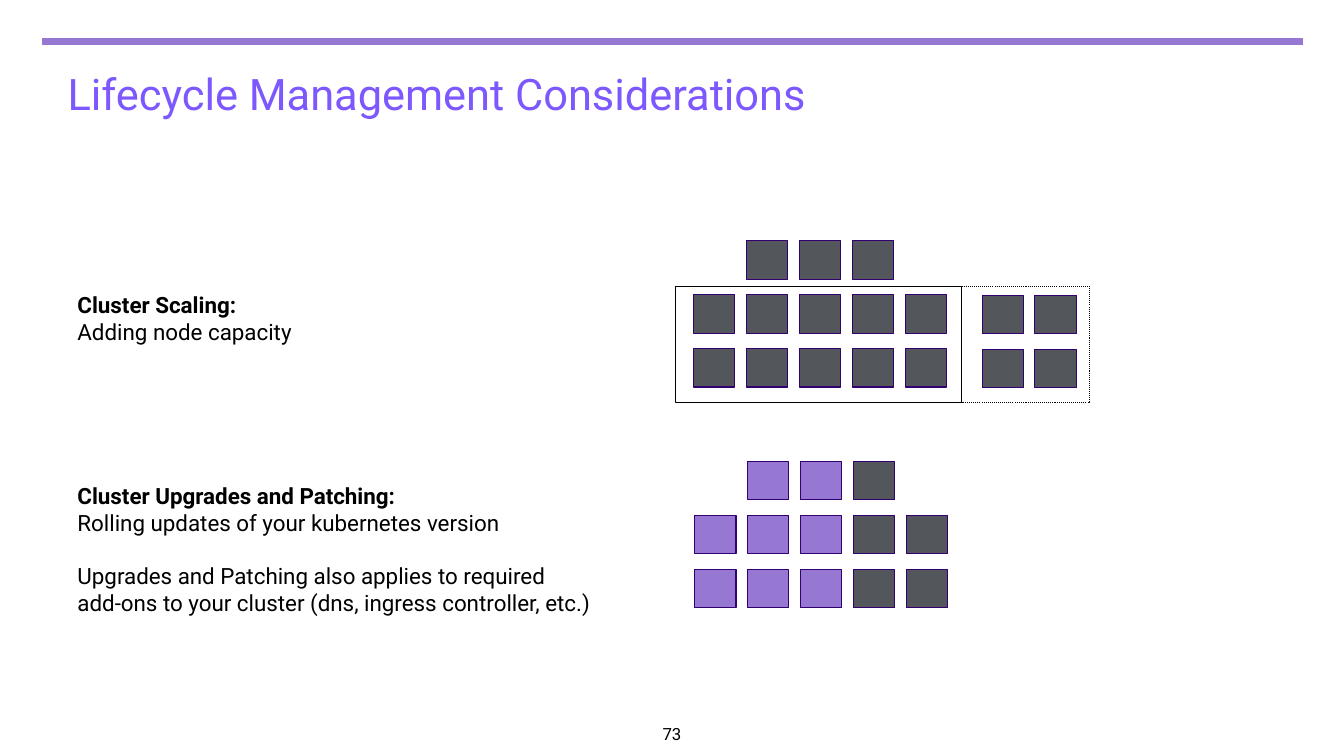
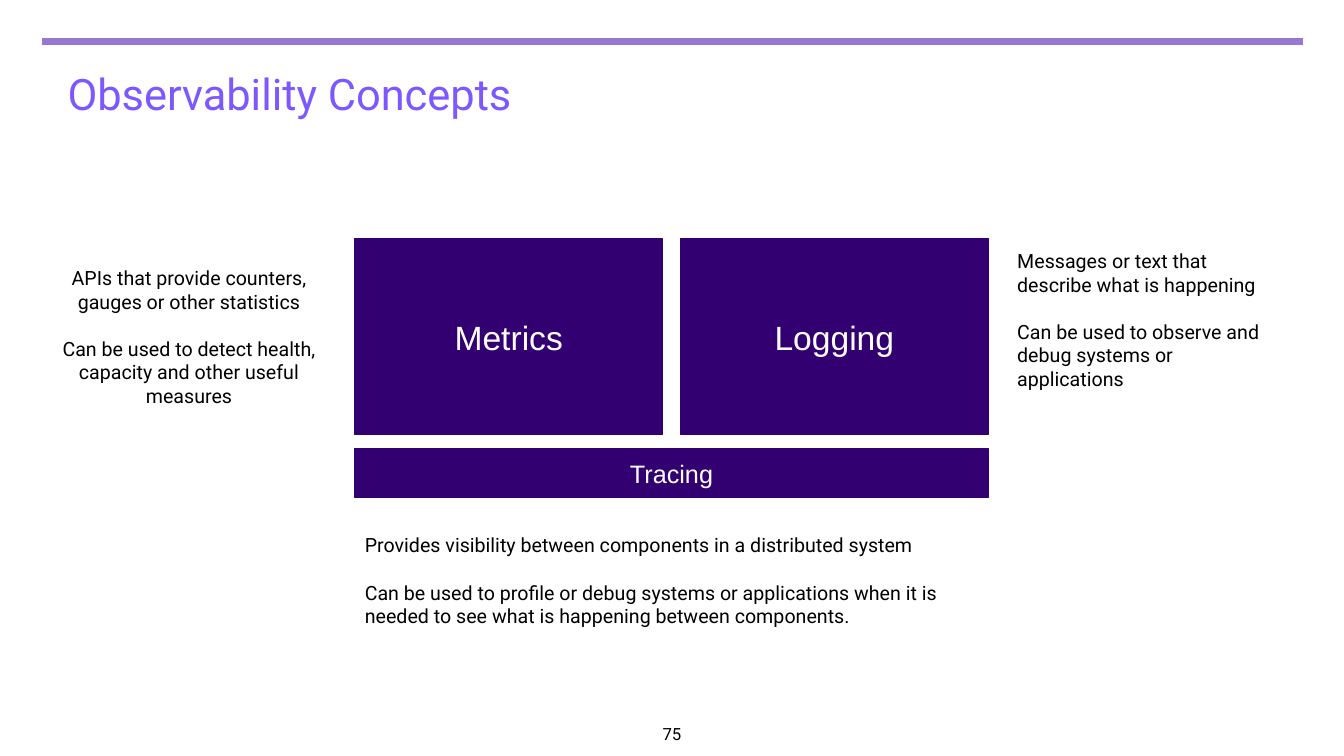
from lxml import etree
from pptx import Presentation
from pptx.dml.color import RGBColor
from pptx.enum.dml import MSO_LINE
from pptx.enum.shapes import MSO_CONNECTOR, MSO_SHAPE
from pptx.enum.text import MSO_ANCHOR, PP_ALIGN
from pptx.oxml.ns import qn
from pptx.util import Inches, Pt

RECTANGLE = MSO_SHAPE.RECTANGLE
STRAIGHT = MSO_CONNECTOR.STRAIGHT
DOTTED = MSO_LINE.ROUND_DOT
LEFT, CENTER = PP_ALIGN.LEFT, PP_ALIGN.CENTER
TOP, MIDDLE = MSO_ANCHOR.TOP, MSO_ANCHOR.MIDDLE

COLORS = {
    "title": "7D58FF",
    "accent": "9678D3",
    "deep": "330072",
    "node": "53565A",
    "text": "000000",
    "white": "FFFFFF",
}
BODY_FONT, BLOCK_FONT = "Roboto", "Arial"

# Node grids: G is a current node, P an upgraded one, a space an empty place.
NODE_WIDTH, NODE_HEIGHT = 0.41, 0.38
COLUMN_STEP, ROW_STEP = 2.1 / 4, 1.07 / 2
NODE_COLORS = {"G": "node", "P": "accent"}
NODE_GRIDS = [
    (6.88, 2.39, [" GGG ", "GGGGG", "GGGGG"]),
    (9.74, 2.93, ["GG", "GG"]),
    (6.89, 4.58, [" PPG ", "PPPGG", "PPPGG"]),
]
CAPACITY_FRAMES = [((6.7, 2.84, 2.84, 1.15), None), ((9.54, 2.84, 1.27, 1.15), DOTTED)]

# Topic: box, heading, then groups of lines set apart by a gap.
TOPICS = [
    ((0.67, 2.79, 5.76, 0.74), "Cluster Scaling:", [["Adding node capacity"]]),
    ((0.67, 4.68, 5.76, 1.52), "Cluster Upgrades and Patching:", [
        ["Rolling updates of your kubernetes version"],
        ["Upgrades and Patching also applies to required",
         "add-ons to your cluster (dns, ingress controller, etc.)"],
    ]),
]

PILLARS = [
    ("Metrics", (3.52, 2.37, 3.05, 1.94), 24),
    ("Logging", (6.75, 2.37, 3.05, 1.94), 24),
    ("Tracing", (3.52, 4.45, 6.28, 0.49), 18),
]
EXPLANATIONS = [
    ((0.47, 2.37, 2.81, 1.94), CENTER, MIDDLE, [
        "APIs that provide counters, gauges or other statistics",
        "Can be used to detect health, capacity and other useful measures"]),
    ((9.99, 2.37, 2.81, 1.94), LEFT, TOP, [
        "Messages or text that describe what is happening",
        "Can be used to observe and debug systems or applications"]),
    ((3.52, 5.19, 6.3, 0.79), LEFT, TOP, [
        "Provides visibility between components in a distributed system",
        "Can be used to profile or debug systems or applications when it is "
        "needed to see what is happening between components."]),
]


def rgb(name):
    return RGBColor.from_string(COLORS[name])


def write(shape, lines, size, color="text", font=BODY_FONT, align=LEFT,
          anchor=TOP, inset=0.1):
    """Fill a shape with lines, each a (text, bold, points before) tuple."""
    frame = shape.text_frame
    frame.word_wrap = True
    frame.vertical_anchor = anchor
    frame.margin_left = frame.margin_right = Inches(inset)
    frame.margin_top = frame.margin_bottom = Inches(inset)
    for index, (text, bold, before) in enumerate(lines):
        paragraph = frame.add_paragraph() if index else frame.paragraphs[0]
        paragraph.text = text
        paragraph.alignment = align
        if before:
            paragraph.space_before = Pt(before)
        paragraph.font.name = font
        paragraph.font.size = Pt(size)
        paragraph.font.bold = bold
        paragraph.font.color.rgb = rgb(color)


def add_text(slide, box, lines, size, **style):
    write(slide.shapes.add_textbox(*map(Inches, box)), lines, size, **style)


def add_rectangle(slide, box, fill=None, line="deep", dash=None):
    shape = slide.shapes.add_shape(RECTANGLE, *map(Inches, box))
    shape.shadow.inherit = False
    if fill:
        shape.fill.solid()
        shape.fill.fore_color.rgb = rgb(fill)
    else:
        shape.fill.background()
    shape.line.color.rgb = rgb(line)
    shape.line.width = Pt(0.75)
    if dash:
        shape.line.dash_style = dash
    return shape


def add_slide(deck, title, number):
    """Add a slide with the top rule, title and page number."""
    slide = deck.slides.add_slide(deck.slide_layouts[6])
    ends = map(Inches, (0.42, 0.41, 12.92, 0.41))
    rule = slide.shapes.add_connector(STRAIGHT, *ends)
    rule.line.color.rgb = rgb("accent")
    rule.line.width = Pt(5)
    etree.SubElement(rule._element.spPr, qn("a:effectLst"))
    add_text(slide, (0.67, 0.67, 9.54, 0.97), [(title, False, 0)], 31,
             color="title", inset=0)
    add_text(slide, (6.54, 7.15, 0.25, 0.25), [(number, False, 0)], 12,
             align=CENTER, inset=0.03)
    return slide


def add_nodes(slide, left, top, rows):
    for row, marks in enumerate(rows):
        for column, mark in enumerate(marks):
            if mark in NODE_COLORS:
                box = (left + column * COLUMN_STEP, top + row * ROW_STEP,
                       NODE_WIDTH, NODE_HEIGHT)
                add_rectangle(slide, box, NODE_COLORS[mark])


def build_lifecycle(deck):
    slide = add_slide(deck, "Lifecycle Management Considerations", "73")
    for grid in NODE_GRIDS:
        add_nodes(slide, *grid)
    for box, dash in CAPACITY_FRAMES:
        add_rectangle(slide, box, line="text", dash=dash)
    for box, heading, groups in TOPICS:
        lines = [(heading, True, 0)]
        for group_index, group in enumerate(groups):
            for line_index, text in enumerate(group):
                starts_later_group = group_index > 0 and line_index == 0
                lines.append((text, False, 19 if starts_later_group else 0))
        add_text(slide, box, lines, 16)


def build_observability(deck):
    slide = add_slide(deck, "Observability Concepts", "75")
    for label, box, size in PILLARS:
        write(add_rectangle(slide, box, "deep"), [(label, False, 0)], size,
              color="white", font=BLOCK_FONT, align=CENTER, anchor=MIDDLE)
    for box, align, anchor, texts in EXPLANATIONS:
        lines = [(text, False, 17 if index else 0) for index, text in enumerate(texts)]
        add_text(slide, box, lines, 14, align=align, anchor=anchor)


def main():
    deck = Presentation()
    deck.slide_width, deck.slide_height = Inches(13.33), Inches(7.5)
    build_lifecycle(deck)
    build_observability(deck)
    deck.save("out.pptx")


if __name__ == "__main__":
    main()
